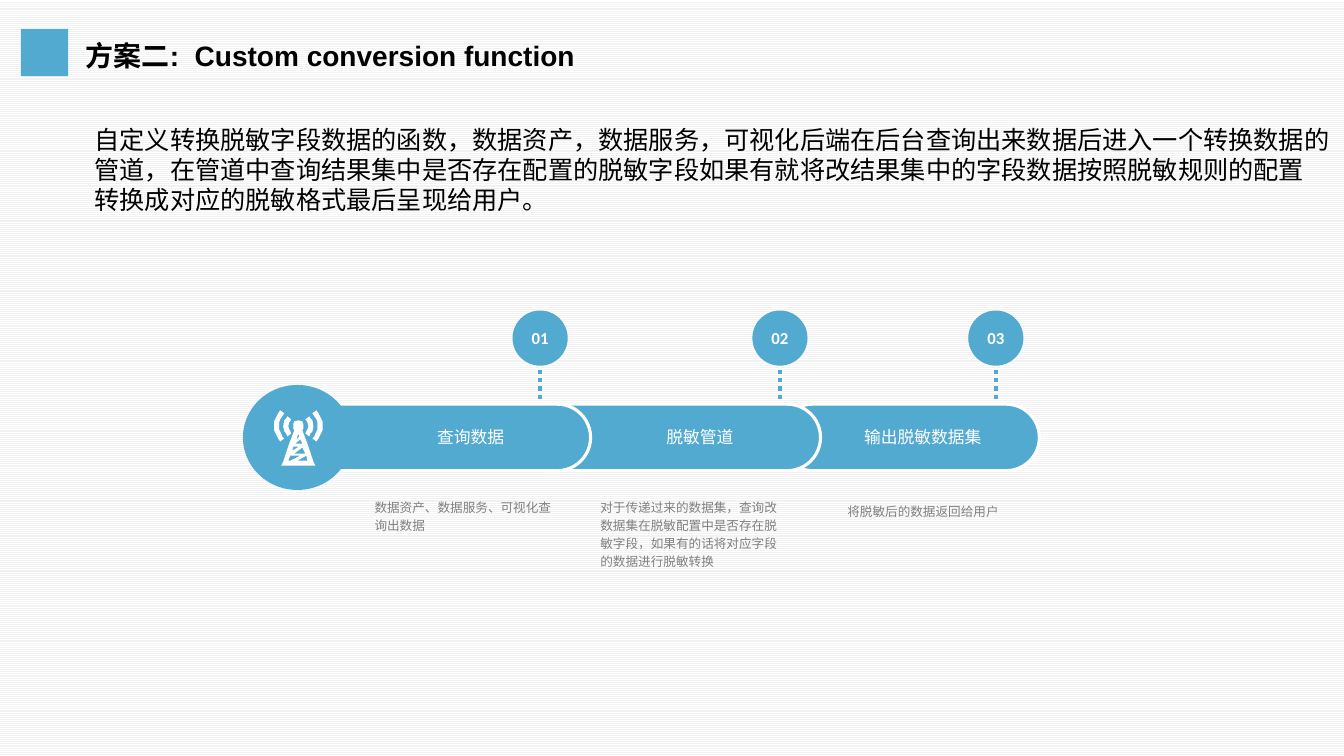
from pptx import Presentation
from pptx.dml.color import RGBColor
from pptx.enum.dml import MSO_LINE, MSO_PATTERN
from pptx.enum.shapes import MSO_CONNECTOR, MSO_SHAPE
from pptx.enum.text import MSO_ANCHOR, MSO_AUTO_SIZE, PP_ALIGN
from pptx.oxml.ns import qn
from pptx.util import Pt
from lxml.etree import SubElement

BLUE, WHITE, GREY = "52AAD0", "FFFFFF", "808080"
SANS = "Noto Sans CJK SC"
hue = RGBColor.from_string


def paint(shape, fill, line=None, width=1):
    shape.shadow.inherit = False
    shape.fill.solid()
    shape.fill.fore_color.rgb = hue(fill)
    if line:
        shape.line.color.rgb = hue(line)
        shape.line.width = Pt(width)
    else:
        shape.line.fill.background()


def write(shape, text, size=12, font=SANS, color=WHITE, bold=False,
          align=PP_ALIGN.CENTER, anchor=MSO_ANCHOR.MIDDLE, wrap=True,
          space=1, inset=(7.2, 3.6)):
    frame = shape.text_frame
    frame.text = text
    frame.auto_size = MSO_AUTO_SIZE.NONE
    frame.word_wrap = wrap
    frame.vertical_anchor = anchor
    frame.margin_left = frame.margin_right = Pt(inset[0])
    frame.margin_top = frame.margin_bottom = Pt(inset[1])
    for para in frame.paragraphs:
        para.alignment = align
        para.line_spacing = space
        for run in para.runs:
            run.font.size = Pt(size)
            run.font.bold = bold
            run.font.color.rgb = hue(color)
            run.font.name = font
            SubElement(run.font._element, qn("a:ea"), typeface=SANS)


deck = Presentation()
deck.slide_width, deck.slide_height = Pt(960), Pt(540)
slide = deck.slides.add_slide(deck.slide_layouts[5])
shapes = slide.shapes

back = slide.background.fill
back.patterned()
back.pattern = MSO_PATTERN.LIGHT_HORIZONTAL
back.fore_color.rgb = hue("F2F2F2")
back.back_color.rgb = hue(WHITE)

title = shapes.title
title.left, title.top, title.width, title.height = Pt(54), Pt(23.8), Pt(480), Pt(31.5)
write(title, "方案二:  Custom conversion function", size=20, font="Arial",
      color="000000", bold=True, align=PP_ALIGN.LEFT, anchor=MSO_ANCHOR.TOP)

block = shapes.add_shape(MSO_SHAPE.RECTANGLE, Pt(15), Pt(20.7), Pt(33.8), Pt(33.8))
paint(block, BLUE)

intro = shapes.add_textbox(Pt(60.5), Pt(85), Pt(905), Pt(72.7))
write(intro, "自定义转换脱敏字段数据的函数，数据资产，数据服务，可视化后端在后台查询出来数据后进入一个转换数据的\n"
      "管道，在管道中查询结果集中是否存在配置的脱敏字段如果有就将改结果集中的字段数据按照脱敏规则的配置\n"
      "转换成对应的脱敏格式最后呈现给用户。", size=18, font="Calibri",
      color="000000", align=PP_ALIGN.LEFT, anchor=MSO_ANCHOR.TOP, wrap=False)

for num, mid in enumerate((385.8, 557.1, 711.3), 1):
    stem = shapes.add_connector(MSO_CONNECTOR.STRAIGHT, Pt(mid), Pt(252), Pt(mid), Pt(288.7))
    stem.line.color.rgb = hue(BLUE)
    stem.line.width = Pt(3)
    stem.line.dash_style = MSO_LINE.ROUND_DOT
    SubElement(stem._element.spPr, qn("a:effectLst"))
    disc = shapes.add_shape(MSO_SHAPE.OVAL, Pt(mid - 19.2), Pt(222.3), Pt(38.4), Pt(38.4))
    paint(disc, BLUE, BLUE)
    write(disc, f"{num:02}", font="Calibri", bold=True, inset=(0, 0))

steps = [
    (556.6, 185.8, 587.5, 143.3, "输出脱敏数据集"),
    (366.5, 219.6, 433.4, 133.2, "脱敏管道"),
    (181.4, 240.5, 262.1, 148.3, "查询数据"),
]
for left, width, start, span, name in steps:
    bar = shapes.add_shape(MSO_SHAPE.ROUNDED_RECTANGLE, Pt(left), Pt(288.7), Pt(width), Pt(47.5))
    bar.adjustments[0] = 0.5
    paint(bar, BLUE, WHITE, 2.25)
    label = shapes.add_textbox(Pt(start), Pt(301.5), Pt(span), Pt(21.6))
    write(label, name)

hub = shapes.add_shape(MSO_SHAPE.OVAL, Pt(173.5), Pt(275), Pt(77.8), Pt(75))
paint(hub, BLUE)

tower = [
    [(0, 17), (4, 18), (5, 21), (5, 25), (4, 27), (9, 40), (15, 58), (17, 62), (-17, 62),
     (-15, 58), (-9, 40), (-4, 27), (-5, 25), (-5, 21), (-4, 18)],
    [(1, 33), (0, 30), (-2, 36)],
    [(2, 36), (-3, 40), (4, 40)],
    [(4, 44), (-4, 50), (7, 50)],
    [(8, 52), (-1, 57), (9, 57)],
    [(-8, 57), (2, 52), (-8, 52), (-10, 57)],
    [(-6, 47), (1, 43), (-5, 43)],
]
waves = [
    [(18, 7), (14, 10), (16, 13), (18, 16), (19, 19), (19, 26), (17, 30), (16, 33), (14, 35),
     (18, 38), (20, 35), (22, 31), (24, 27), (24, 18), (22, 14), (20, 10)],
    [(11, 13), (7, 16), (9, 19), (10, 23), (9, 26), (7, 30), (11, 33), (12, 30),
     (14, 28), (15, 23), (14, 17), (12, 15)],
]
parts = tower + waves + [[(-x, y) for x, y in wave] for wave in waves]
pen = shapes.build_freeform(*parts[0][0], scale=Pt(0.72))
for part in parts:
    if part is not parts[0]:
        pen.move_to(*part[0])
    pen.add_line_segments(part[1:], close=True)
mast = pen.convert_to_shape(Pt(213.1), Pt(288))
paint(mast, WHITE)

notes = [
    (262.1, 352.1, 30.2, "数据资产、数据服务、可视化查询出数据"),
    (423.4, 352.1, 56.9, "对于传递过来的数据集，查询改数据集在脱敏配置中是否存在脱敏字段，如果有的话将对应字段的数据进行脱敏转换"),
    (599.8, 355, 17.3, "将脱敏后的数据返回给用户"),
]
for left, top, height, text in notes:
    note = shapes.add_textbox(Pt(left), Pt(top), Pt(143.3), Pt(height))
    write(note, text, size=9, font="Arial", color=GREY, align=PP_ALIGN.LEFT,
          anchor=MSO_ANCHOR.TOP, space=1.2, inset=(5.4, 2.7))

deck.save("out.pptx")
